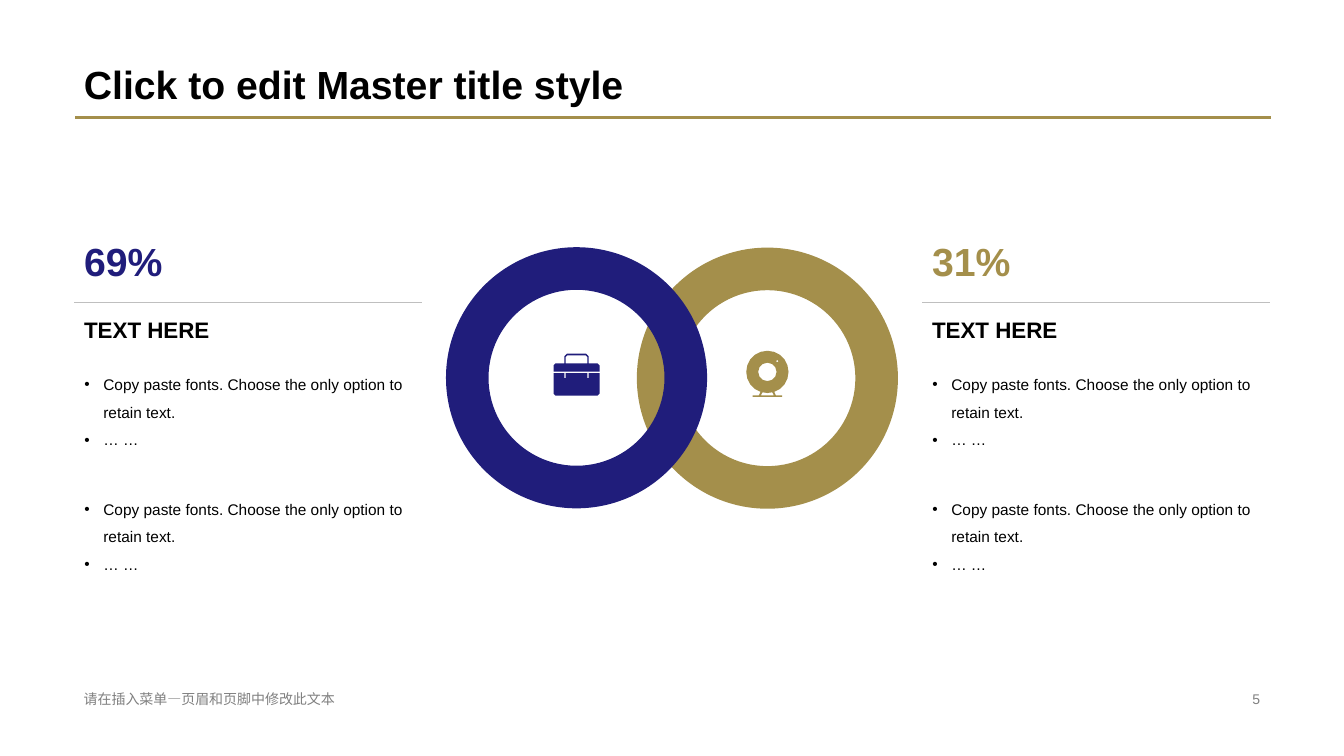
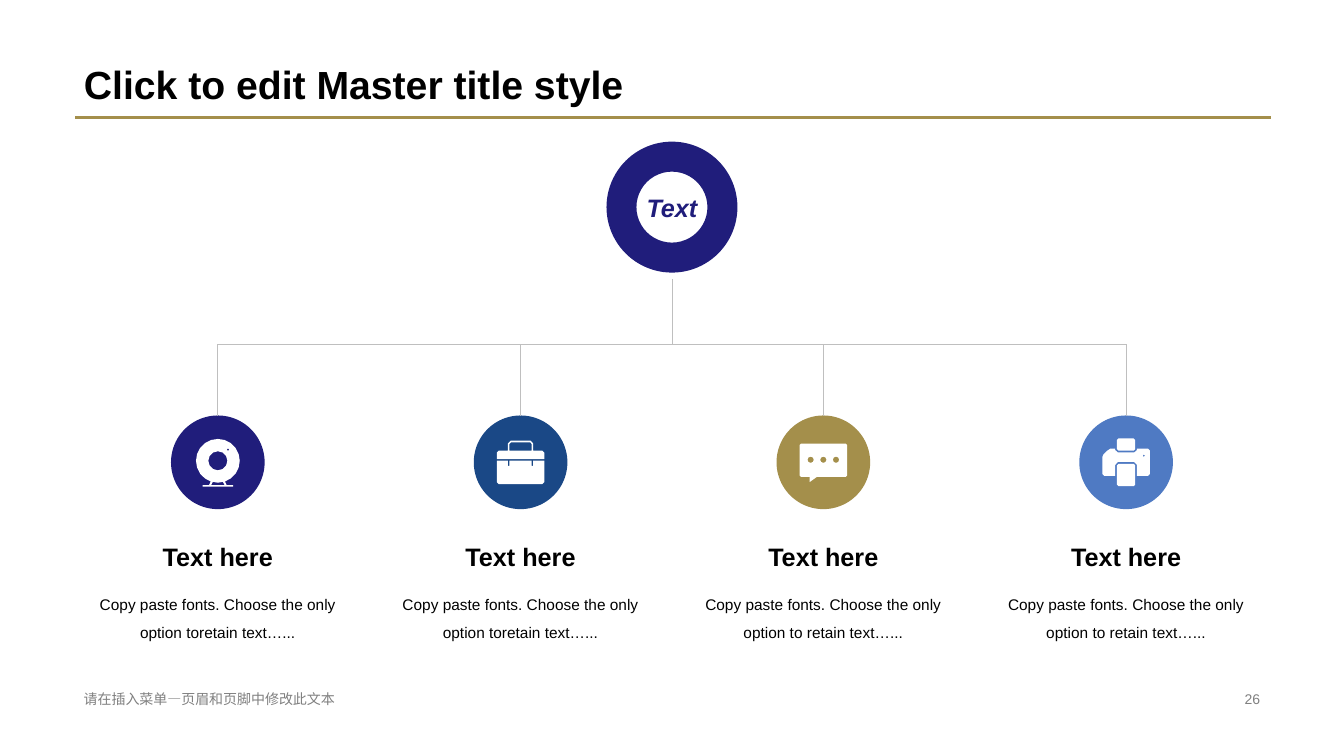
from dataclasses import dataclass
from math import cos, pi, sin
from typing import NamedTuple

from lxml.etree import SubElement
from pptx import Presentation
from pptx.dml.color import RGBColor
from pptx.enum.shapes import MSO_CONNECTOR, MSO_SHAPE
from pptx.enum.text import MSO_ANCHOR, MSO_AUTO_SIZE, PP_ALIGN
from pptx.oxml.ns import qn
from pptx.shapes.autoshape import Shape
from pptx.shapes.connector import Connector
from pptx.slide import Slide
from pptx.text.text import TextFrame
from pptx.util import Cm, Pt


@dataclass(frozen=True)
class Theme:
    font: str = "Arial"
    black: str = "000000"
    white: str = "FFFFFF"
    navy: str = "201D7B"
    blue: str = "1A4886"
    gold: str = "A48F4B"
    sky: str = "4F7AC3"
    footer_gray: str = "808080"
    line_gray: str = "BFBFBF"
    title_size: float = 28
    node_size: float = 18
    heading_size: float = 16
    body_size: float = 11
    footer_size: float = 10


THEME = Theme()


class Box(NamedTuple):
    left: float
    top: float
    width: float
    height: float


class TextStyle(NamedTuple):
    size: float
    color: str = THEME.black
    bold: bool = False
    italic: bool = False
    align: PP_ALIGN = PP_ALIGN.LEFT
    anchor: MSO_ANCHOR = MSO_ANCHOR.MIDDLE
    line_spacing: float = 1.0
    bulleted: bool = False


TITLE_STYLE = TextStyle(THEME.title_size, bold=True, anchor=MSO_ANCHOR.BOTTOM, line_spacing=0.9)
FOOTER_STYLE = TextStyle(THEME.footer_size, THEME.footer_gray)
HEADING_STYLE = TextStyle(THEME.heading_size, bold=True)
LIST_STYLE = TextStyle(THEME.body_size, anchor=MSO_ANCHOR.TOP, line_spacing=1.5, bulleted=True)
NODE_STYLE = TextStyle(THEME.node_size, bold=True, align=PP_ALIGN.CENTER)
CAPTION_STYLE = TextStyle(
    THEME.body_size, align=PP_ALIGN.CENTER, anchor=MSO_ANCHOR.TOP, line_spacing=1.5
)

Point = tuple[float, float]
Contour = list[Point]
Icon = list[Contour]

ICON_GRID = 47
RESOLUTION = 100
LIST_ITEMS = ["Copy paste fonts. Choose the only option to retain text.", "… …"]


def disc(x: float, y: float, radius: float, corners: int) -> Contour:
    angles = [2 * pi * corner / corners for corner in range(corners)]
    return [(x + radius * cos(angle), y + radius * sin(angle)) for angle in angles]


def mirrored(half: Contour) -> Contour:
    return half + [(-x, y) for x, y in reversed(half)]


def cut_box(right: float, top: float, bottom: float, cut: float) -> Contour:
    return mirrored([(right - cut, top), (right, top + cut), (right, bottom - cut),
                     (right - cut, bottom)])


BRIEFCASE: Icon = [
    mirrored([(-11, -1.5), (-11, 3.5), (-12.5, 3.5), (-12.5, -1.5), (-23.5, -1.5),
              (-23.5, 19.5), (-21.5, 21.5)]),
    mirrored([(-23.5, -3), (-23.5, -9.5), (-21.5, -11.5), (-12.5, -11.5), (-12.5, -18.5),
              (-9.7, -21.5)]),
    mirrored([(-11, -11.5), (-11, -18), (-9.5, -19.7)]),
]
LEFT_LEG: Contour = [(-7, 18.8), (-5, 19.4), (-6.7, 22.5), (-8.7, 22.5)]
WEBCAM: Icon = [
    disc(0, -1.5, 21.6, 20),
    disc(0, -1.5, 9.4, 12),
    disc(10, -12.5, 1.3, 4),
    LEFT_LEG,
    [(-x, y) for x, y in LEFT_LEG],
    [(-15, 22.5), (15, 22.5), (15, 24), (-15, 24)],
]
CHAT: Icon = [
    cut_box(23.5, -18.5, 14.5, 1.5),
    [(-13.5, 14.5), (-6.5, 14.5), (-13.5, 19.5)],
    *[disc(x, -2.5, 3.1, 8) for x in (-12.5, 0, 12.5)],
]
PRINTER: Icon = [
    cut_box(9, 1.5, 23.5, 1.5),
    cut_box(9, -23.5, -11.5, 1.5),
    [(-10.7, -13.5), (-10.7, -12), (-8, -9.7), (8, -9.7), (10.7, -12), (10.7, -13.5),
     (21.5, -13.5), (23.5, -11.5), (23.5, 11.5), (21.5, 13.5), (10.7, 13.5), (10.7, 2.5),
     (8, -0.3), (-8, -0.3), (-10.7, 2.5), (-10.7, 13.5), (-21.5, 13.5), (-23.5, 11.5),
     (-23.5, -5), (-22.5, -7.5), (-18.5, -11.5), (-15.5, -13.5)],
    disc(17.5, -6.5, 1.2, 4),
]


@dataclass(frozen=True)
class ShareColumn:
    left: float
    share: str
    color: str
    ring_left: float
    ring_top: float
    icon: Icon
    icon_middle: float
    list_indexes: tuple[int, int]


@dataclass(frozen=True)
class Branch:
    color: str
    icon: Icon
    caption: str


SHARE_COLUMNS = [
    ShareColumn(23.24, "31%", THEME.gold, 16.05, 6.24, WEBCAM, 9.41, (3, 4)),
    ShareColumn(1.87, "69%", THEME.navy, 11.24, 6.23, BRIEFCASE, 9.44, (1, 2)),
]
BRANCHES = [
    Branch(THEME.navy, WEBCAM, "Copy paste fonts. Choose the only option toretain text…..."),
    Branch(THEME.blue, BRIEFCASE, "Copy paste fonts. Choose the only option toretain text…..."),
    Branch(THEME.gold, CHAT, "Copy paste fonts. Choose the only option to retain text…..."),
    Branch(THEME.sky, PRINTER, "Copy paste fonts. Choose the only option to retain text…..."),
]


def write_text(frame: TextFrame, texts: list[str], style: TextStyle) -> None:
    frame.word_wrap = True
    frame.auto_size = MSO_AUTO_SIZE.NONE
    frame.vertical_anchor = style.anchor
    for position, text in enumerate(texts):
        paragraph = frame.add_paragraph() if position else frame.paragraphs[0]
        paragraph.alignment = style.align
        paragraph.line_spacing = style.line_spacing
        paragraph.space_before = Pt(0)
        if style.bulleted:
            properties = paragraph._p.get_or_add_pPr()
            properties.set("marL", str(Cm(0.48)))
            properties.set("indent", str(-Cm(0.48)))
            SubElement(properties, qn("a:buFont"), typeface=THEME.font)
            SubElement(properties, qn("a:buChar"), char="•")
        run = paragraph.add_run()
        run.text = text
        run.font.name = THEME.font
        run.font.size = Pt(style.size)
        run.font.bold = style.bold
        run.font.italic = style.italic
        run.font.color.rgb = RGBColor.from_string(style.color)


def add_text(slide: Slide, box: Box, text: str, style: TextStyle) -> None:
    shape = slide.shapes.add_textbox(*map(Cm, box))
    write_text(shape.text_frame, [text], style)


def fill_placeholder(shape: Shape, box: Box, texts: list[str], style: TextStyle) -> None:
    shape.left, shape.top, shape.width, shape.height = map(Cm, box)
    write_text(shape.text_frame, texts, style)


def add_line(slide: Slide, start: Point, end: Point, color: str, width: float) -> Connector:
    line = slide.shapes.add_connector(MSO_CONNECTOR.STRAIGHT, *map(Cm, start + end))
    line.line.color.rgb = RGBColor.from_string(color)
    line.line.width = Pt(width)
    SubElement(line._element.spPr, qn("a:effectLst"))
    return line


def paint(shape: Shape, color: str) -> None:
    shape.shadow.inherit = False
    shape.fill.solid()
    shape.fill.fore_color.rgb = RGBColor.from_string(color)
    shape.line.fill.background()


def add_round(slide: Slide, kind: MSO_SHAPE, box: Box, color: str) -> Shape:
    shape = slide.shapes.add_shape(kind, *map(Cm, box))
    paint(shape, color)
    return shape


def add_ring(slide: Slide, box: Box, thickness: float, color: str) -> Shape:
    ring = add_round(slide, MSO_SHAPE.DONUT, box, color)
    ring.adjustments[0] = thickness
    return ring


def add_icon(slide: Slide, icon: Icon, center: Point, size: float, color: str) -> None:
    contours = [[(x * RESOLUTION, y * RESOLUTION) for x, y in contour] for contour in icon]
    builder = slide.shapes.build_freeform(
        *contours[0][0], scale=Cm(size) / (ICON_GRID * RESOLUTION)
    )
    for position, contour in enumerate(contours):
        if position:
            builder.move_to(*contour[0])
        builder.add_line_segments(contour[1:], close=True)
    paint(builder.convert_to_shape(*map(Cm, center)), color)


def add_frame(slide: Slide, number: int) -> None:
    title = "Click to edit Master title style"
    fill_placeholder(slide.shapes.title, Box(1.86, 0, 30.15, 2.84), [title], TITLE_STYLE)
    add_line(slide, (1.9, 2.96), (32.03, 2.96), THEME.gold, 2)
    add_text(slide, Box(1.86, 17.32, 11.51, 0.58), "请在插入菜单—页眉和页脚中修改此文本", FOOTER_STYLE)
    number_style = FOOTER_STYLE._replace(align=PP_ALIGN.RIGHT)
    add_text(slide, Box(23.93, 17.32, 8.08, 0.58), str(number), number_style)


def build_shares(slide: Slide) -> None:
    ring_size, width = 6.58, 8.76
    bodies = {shape.placeholder_format.idx: shape for shape in slide.placeholders}
    for column in SHARE_COLUMNS:
        left = column.left
        add_ring(slide, Box(column.ring_left, column.ring_top, ring_size, ring_size), 0.163, column.color)
        share_style = TextStyle(THEME.title_size, column.color, bold=True)
        add_text(slide, Box(left, 5.51, 2.95, 2.11), column.share, share_style)
        add_line(slide, (left, 7.62), (left + width, 7.62), THEME.line_gray, 0.25)
        add_text(slide, Box(left, 7.73, width, 1.14), "TEXT HERE", HEADING_STYLE)
        for index, top in zip(column.list_indexes, (9.09, 12.23)):
            fill_placeholder(bodies[index], Box(left, top, width, 2.79), LIST_ITEMS, LIST_STYLE)
    for column in SHARE_COLUMNS:
        center = (column.ring_left + ring_size / 2, column.icon_middle)
        add_icon(slide, column.icon, center, 1.16, column.color)


def build_tree(slide: Slide) -> None:
    first, step, bus = 5.49, 7.63, 8.68
    circle_top, circle_size, root_size, text_width = 10.47, 2.36, 3.3, 7.26
    last = first + step * (len(BRANCHES) - 1)
    middle = (first + last) / 2
    add_line(slide, (middle, 7.04), (middle, bus), THEME.line_gray, 0.5)
    add_line(slide, (first, bus), (last, bus), THEME.line_gray, 0.5)
    root = add_ring(slide, Box(middle - root_size / 2, 3.57, root_size, root_size), 0.229, THEME.navy)
    write_text(root.text_frame, ["Text"], NODE_STYLE._replace(color=THEME.navy, italic=True))
    for position, branch in enumerate(BRANCHES):
        center = first + step * position
        circle_box = Box(center - circle_size / 2, circle_top, circle_size, circle_size)
        circle = add_round(slide, MSO_SHAPE.OVAL, circle_box, branch.color)
        drop = add_line(slide, (center, bus), (center, circle_top), THEME.line_gray, 0.5)
        drop.end_connect(circle, 0)
        add_icon(slide, branch.icon, (center, circle_top + circle_size / 2), 1.2, THEME.white)
        text_left = center - text_width / 2
        add_text(slide, Box(text_left, 13.41, text_width, 1.22), "Text here", NODE_STYLE)
        add_text(slide, Box(text_left, 14.64, text_width, 1.85), branch.caption, CAPTION_STYLE)


def main() -> None:
    presentation = Presentation()
    presentation.slide_width, presentation.slide_height = Cm(33.87), Cm(19.05)
    for layout, number, build in (("Comparison", 5, build_shares), ("Title Only", 26, build_tree)):
        slide = presentation.slides.add_slide(presentation.slide_layouts.get_by_name(layout))
        add_frame(slide, number)
        build(slide)
    presentation.save("out.pptx")


if __name__ == "__main__":
    main()
